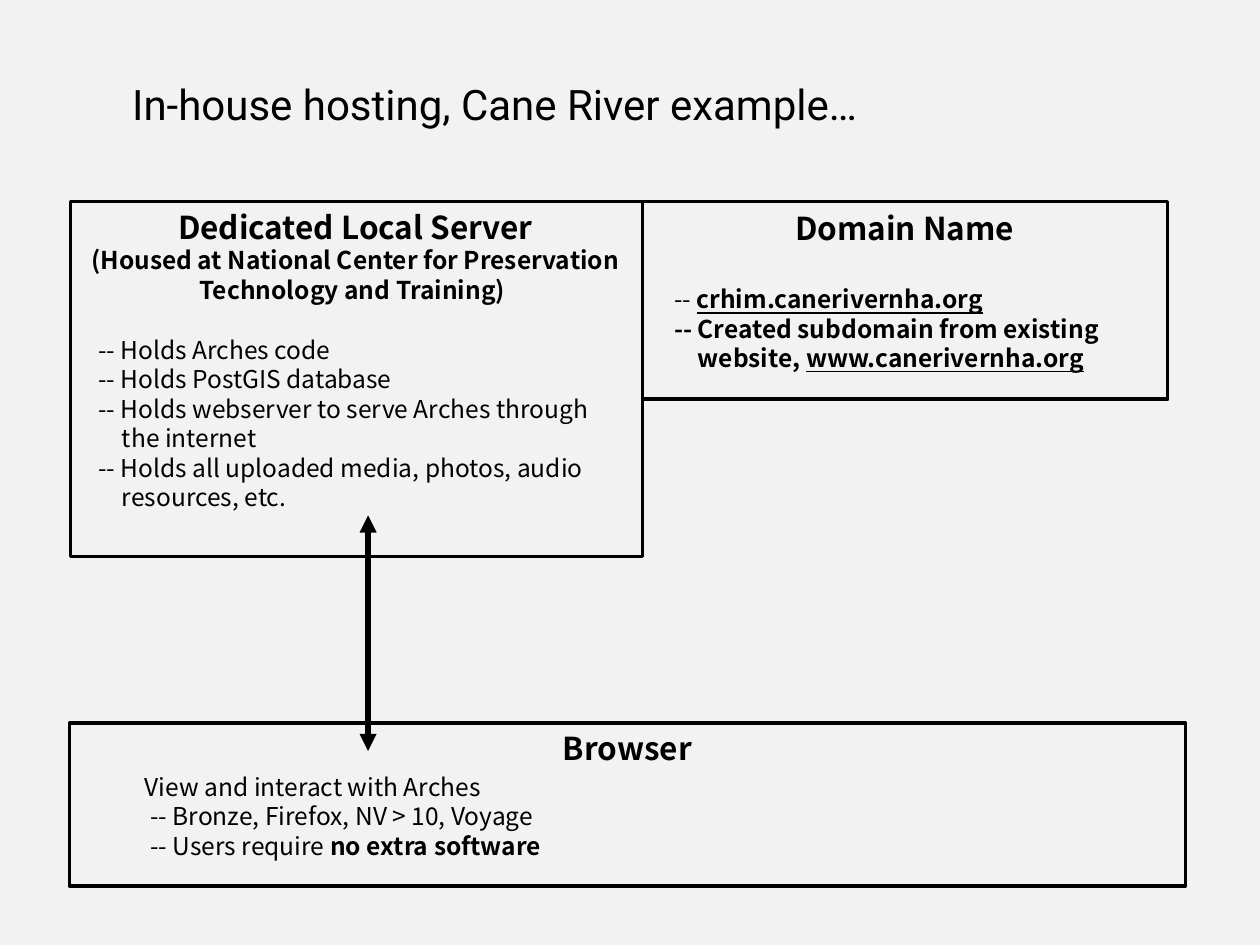
"""Build the slide on in-house hosting of a heritage inventory."""
from dataclasses import dataclass

from lxml import etree
from pptx import Presentation
from pptx import util as u
from pptx.dml.color import RGBColor
from pptx.enum import shapes, text
from pptx.oxml import ns

BLACK = "000000"
BACKGROUND = "F2F2F2"
BODY_FONT = "Noto Sans CJK SC"
HANGING = 0.48


@dataclass(frozen=True)
class Area:
    left: float
    top: float
    width: float
    height: float

    def lengths(self) -> list:
        return [u.Cm(n) for n in (self.left, self.top, self.width, self.height)]


@dataclass(frozen=True)
class Span:
    words: str
    size: float = 14
    bold: bool = False
    underline: bool = False


@dataclass(frozen=True)
class Line:
    spans: tuple
    centred: bool = False
    margin: float = 0
    hanging: float = 0


@dataclass(frozen=True)
class TextBlock:
    area: Area
    lines: tuple


def heading(words: str) -> Line:
    return Line((Span(words, size=18, bold=True),), centred=True)


def item(words: str, **layout) -> Line:
    return Line((Span(words),), **layout)


FRAMES = (
    Area(1.42, 4.06, 11.53, 7.16),
    Area(1.4, 14.58, 22.5, 3.28),
    Area(12.95, 4.06, 10.59, 3.99),
)
HANG = {"margin": HANGING, "hanging": HANGING}
BLOCKS = (
    TextBlock(Area(1.4, 4.06, 11.53, 2.24), (
        heading("Dedicated Local Server"),
        Line((Span("(Housed at National Center for Preservation "
                   "Technology and Training) ", bold=True),), centred=True),
    )),
    TextBlock(Area(1.4, 14.58, 22.5, 1.02), (heading("Browser"),)),
    TextBlock(Area(2.67, 15.44, 17.32, 2.06), (
        item("View and interact with Arches"),
        item("-- Bronze, Firefox, NV > 10, Voyage", margin=0.11),
        Line((Span("-- Users require "), Span("no extra software", bold=True)), margin=0.11),
    )),
    TextBlock(Area(12.95, 4.09, 10.57, 1.02), (heading("Domain Name"),)),
    TextBlock(Area(13.34, 5.61, 9.96, 2.06), (
        Line((Span("-- "), Span("crhim.canerivernha.org", bold=True, underline=True))),
        Line((Span("-- Created subdomain from existing website, ", bold=True),
              Span("www.canerivernha.org", bold=True, underline=True)), **HANG),
    )),
    TextBlock(Area(1.73, 6.63, 10.97, 3.84), (
        item("-- Holds Arches code"),
        item("-- Holds PostGIS database"),
        item("-- Holds webserver to serve Arches through the internet", **HANG),
        item("-- Holds all uploaded media, photos, audio resources, etc.", **HANG),
    )),
)


def colour(value: str) -> RGBColor:
    return RGBColor.from_string(value)


def add_span(para, words: str, *, size: float, font: str = BODY_FONT,
             bold: bool = False, underline: bool = False) -> None:
    span = para.add_run()
    span.text = words
    span.font.name = font
    span.font.size = u.Pt(size)
    span.font.bold = bold
    span.font.underline = underline
    span.font.color.rgb = colour(BLACK)


def add_frame(page, area: Area) -> None:
    box = page.shapes.add_shape(shapes.MSO_SHAPE.RECTANGLE, *area.lengths())
    box.shadow.inherit = False
    box.fill.background()
    box.line.color.rgb = colour(BLACK)
    box.line.width = u.Pt(2)


def add_block(page, block: TextBlock) -> None:
    frame = page.shapes.add_textbox(*block.area.lengths()).text_frame
    frame.word_wrap = True
    for index, line in enumerate(block.lines):
        para = frame.add_paragraph() if index else frame.paragraphs[0]
        para.alignment = text.PP_ALIGN.CENTER if line.centred else text.PP_ALIGN.LEFT
        if line.margin:
            properties = para._p.get_or_add_pPr()
            properties.set("marL", str(u.Cm(line.margin)))
            properties.set("indent", str(-u.Cm(line.hanging)))
        for span in line.spans:
            add_span(para, span.words, size=span.size, bold=span.bold, underline=span.underline)


def add_double_arrow(page, x: float, start: float, end: float) -> None:
    arrow = page.shapes.add_connector(
        shapes.MSO_CONNECTOR.STRAIGHT, u.Cm(x), u.Cm(start), u.Cm(x), u.Cm(end))
    arrow.line.color.rgb = colour(BLACK)
    arrow.line.width = u.Pt(3.25)
    outline = arrow.line._get_or_add_ln()
    for tag in ("a:headEnd", "a:tailEnd"):
        etree.SubElement(outline, ns.qn(tag), type="triangle")
    etree.SubElement(arrow._element.spPr, ns.qn("a:effectLst"))


def set_title(page, words: str, area: Area) -> None:
    title = page.shapes.title
    title.left, title.top, title.width, title.height = area.lengths()
    frame = title.text_frame
    frame.word_wrap = False
    frame.auto_size = text.MSO_AUTO_SIZE.NONE
    frame.vertical_anchor = text.MSO_ANCHOR.TOP
    para = frame.paragraphs[0]
    para.alignment = text.PP_ALIGN.LEFT
    add_span(para, words, size=24, font="Roboto")


def main() -> None:
    deck = Presentation()
    deck.slide_width, deck.slide_height = u.Cm(25.4), u.Cm(19.05)
    page = deck.slides.add_slide(deck.slide_layouts[5])
    page.background.fill.solid()
    page.background.fill.fore_color.rgb = colour(BACKGROUND)
    set_title(page, "In-house hosting, Cane River example…", Area(2.41, 1.45, 15.67, 1.27))
    for area in FRAMES:
        add_frame(page, area)
    for block in BLOCKS:
        add_block(page, block)
    add_double_arrow(page, 7.42, 15.14, 10.39)
    deck.save("out.pptx")


if __name__ == "__main__":
    main()
